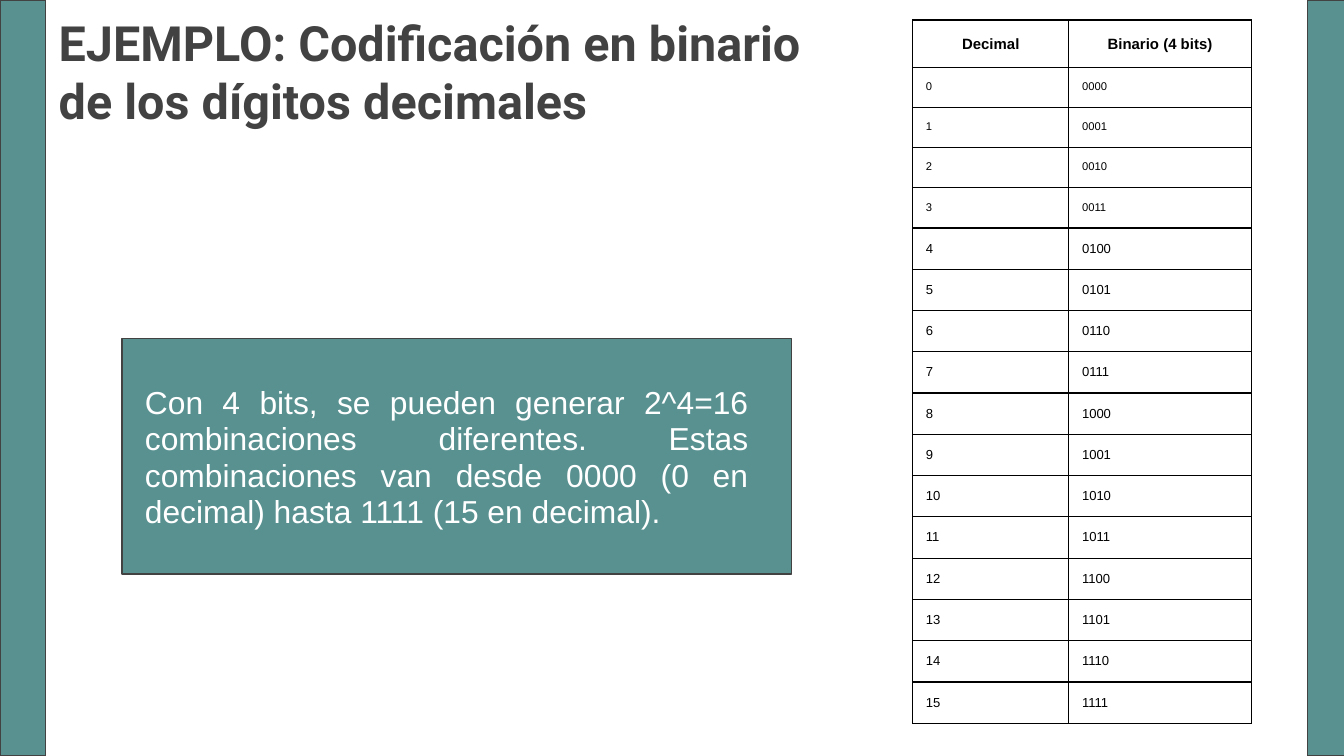
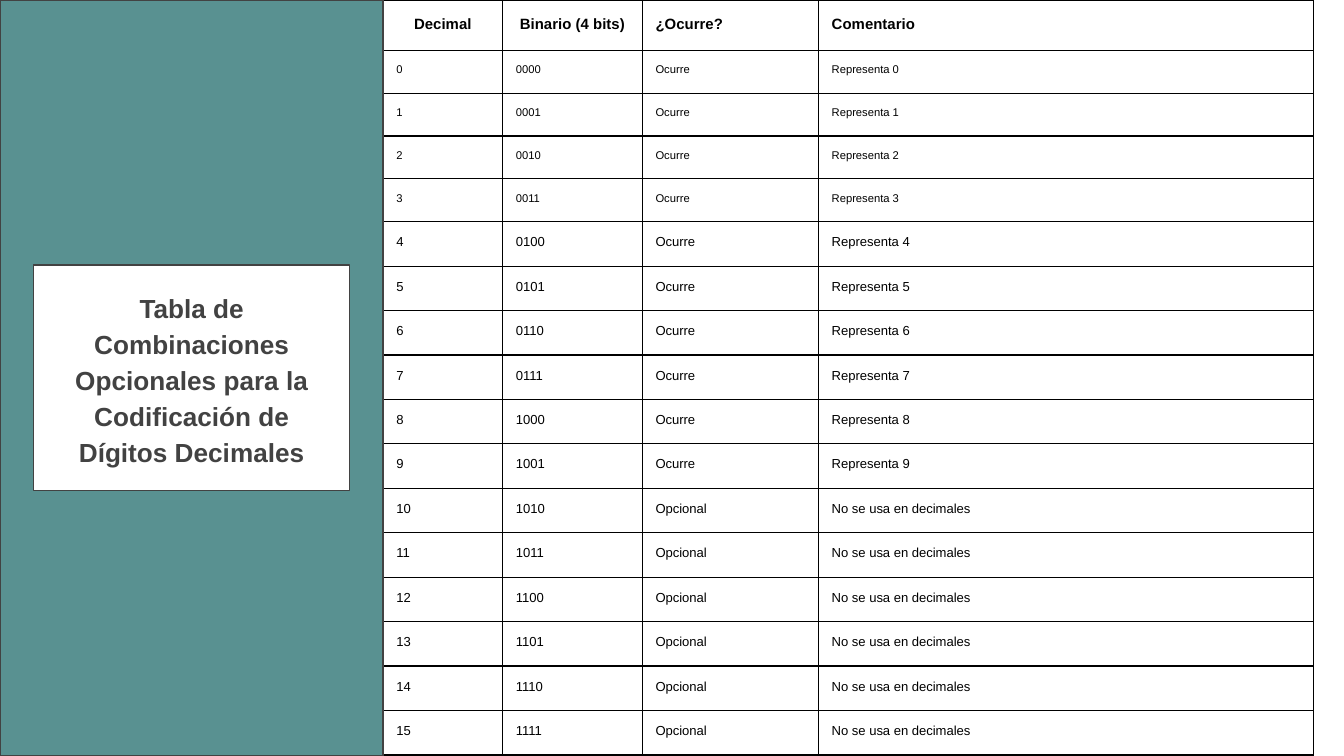
from dataclasses import dataclass

import lxml.etree
import pptx
import pptx.dml.color
import pptx.enum.shapes
import pptx.enum.text
import pptx.oxml.ns
import pptx.util

Cm = pptx.util.Cm
Pt = pptx.util.Pt
Align = pptx.enum.text.PP_ALIGN
Anchor = pptx.enum.text.MSO_ANCHOR
qn = pptx.oxml.ns.qn

COLORS = {"teal": "599191", "ink": "424242", "paper": "FFFFFF", "grid": "000000"}
PADDING = 0.25
LINE_WIDTH = 0.75
DIGITS = range(16)


@dataclass(frozen=True)
class Area:
    left: float
    top: float
    width: float
    height: float

    def lengths(self) -> tuple:
        return Cm(self.left), Cm(self.top), Cm(self.width), Cm(self.height)


@dataclass(frozen=True)
class TextStyle:
    size: float
    color: str
    font: str = "Arial"
    bold: bool = False
    align: Align = Align.LEFT
    spacing: float = 1.0
    after: float = 0


@dataclass(frozen=True)
class CodeColumn:
    heading: str
    width: float
    values: list[str]
    heading_align: Align = Align.LEFT


@dataclass(frozen=True)
class CodeTable:
    left: float
    top: float
    columns: list[CodeColumn]
    heading_height: float
    small_height: float
    regular_height: float


TITLE = TextStyle(26, "ink", font="Roboto", bold=True)
EXPLANATION = TextStyle(17, "paper", align=Align.JUSTIFY, spacing=0.95, after=12)
PANEL_TITLE = TextStyle(14, "ink", bold=True, align=Align.CENTER, spacing=1.15, after=12)


def rgb(color: str) -> pptx.dml.color.RGBColor:
    return pptx.dml.color.RGBColor.from_string(COLORS[color])


def write(frame, lines: list[str], style: TextStyle) -> None:
    for index, line in enumerate(lines):
        paragraph = frame.add_paragraph() if index else frame.paragraphs[0]
        paragraph.alignment = style.align
        paragraph.line_spacing = style.spacing
        paragraph.space_after = Pt(style.after)
        run = paragraph.add_run()
        run.text = line
        run.font.name = style.font
        run.font.size = Pt(style.size)
        run.font.bold = style.bold
        run.font.color.rgb = rgb(style.color)


def pad(target, top: float = PADDING, bottom: float = PADDING) -> None:
    target.margin_left = target.margin_right = Cm(PADDING)
    target.margin_top = Cm(top)
    target.margin_bottom = Cm(bottom)


def add_panel(slide, area: Area, fill: str):
    panel = slide.shapes.add_shape(
        pptx.enum.shapes.MSO_SHAPE.RECTANGLE, *area.lengths()
    )
    panel.shadow.inherit = False
    panel.fill.solid()
    panel.fill.fore_color.rgb = rgb(fill)
    panel.line.color.rgb = rgb("ink")
    panel.line.width = Pt(LINE_WIDTH)
    return panel


def add_text(slide, area: Area, lines: list[str], style: TextStyle):
    frame = slide.shapes.add_textbox(*area.lengths()).text_frame
    frame.word_wrap = True
    pad(frame)
    write(frame, lines, style)
    return frame


def outline_cell(cell) -> None:
    properties = cell._tc.get_or_add_tcPr()
    for position, side in enumerate(("lnL", "lnR", "lnT", "lnB")):
        border = lxml.etree.Element(qn(f"a:{side}"), w=str(Pt(LINE_WIDTH)))
        fill = lxml.etree.SubElement(border, qn("a:solidFill"))
        lxml.etree.SubElement(fill, qn("a:srgbClr"), val=COLORS["grid"])
        properties.insert(position, border)


def fill_cell(cell, text: str, style: TextStyle) -> None:
    pad(cell)
    cell.fill.solid()
    cell.fill.fore_color.rgb = rgb("paper")
    write(cell.text_frame, [text], style)
    outline_cell(cell)


def add_code_table(slide, codes: CodeTable) -> None:
    heights = [codes.heading_height] + [
        codes.small_height if digit < 4 else codes.regular_height for digit in DIGITS
    ]
    area = Area(
        codes.left, codes.top, sum(c.width for c in codes.columns), sum(heights)
    )
    table = slide.shapes.add_table(
        len(heights), len(codes.columns), *area.lengths()
    ).table
    table.first_row = table.horz_banding = False
    for row, height in zip(table.rows, heights):
        row.height = Cm(height)
    for index, column in enumerate(codes.columns):
        table.columns[index].width = Cm(column.width)
        heading = TextStyle(
            8, "grid", bold=True, align=column.heading_align, spacing=1.15
        )
        fill_cell(table.cell(0, index), column.heading, heading)
        for digit, value in zip(DIGITS, column.values):
            style = TextStyle(6 if digit < 4 else 7, "grid")
            fill_cell(table.cell(digit + 1, index), value, style)


def number_columns(decimal_width: float, binary_width: float) -> list[CodeColumn]:
    return [
        CodeColumn("Decimal", decimal_width, [str(d) for d in DIGITS], Align.CENTER),
        CodeColumn(
            "Binario (4 bits)", binary_width, [f"{d:04b}" for d in DIGITS], Align.CENTER
        ),
    ]


def build_example(slide) -> None:
    add_code_table(
        slide, CodeTable(17.25, 0.38, number_columns(2.95, 3.45), 0.89, 0.76, 0.78)
    )
    for band_left in (0, 24.71):
        add_panel(slide, Area(band_left, 0, 0.86, 14.29), "teal")
    add_panel(slide, Area(2.31, 6.4, 12.65, 4.45), "teal")
    explanation = add_text(
        slide,
        Area(2.49, 5.97, 11.91, 4.24),
        [
            "Con 4 bits, se pueden generar 2^4=16 combinaciones diferentes. "
            "Estas combinaciones van desde 0000 (0 en decimal) hasta 1111 "
            "(15 en decimal)."
        ],
        EXPLANATION,
    )
    explanation.vertical_anchor = Anchor.MIDDLE
    pad(explanation, top=1.27, bottom=0.13)
    add_text(
        slide,
        Area(0.86, 0, 24.54, 2.77),
        ["EJEMPLO: Codificación en binario", "de los dígitos decimales"],
        TITLE,
    )


def build_optional_codes(slide) -> None:
    occurrence = ["Ocurre" if d < 10 else "Opcional" for d in DIGITS]
    comments = [
        f"Representa {d}" if d < 10 else "No se usa en decimales" for d in DIGITS
    ]
    columns = number_columns(2.26, 2.64) + [
        CodeColumn("¿Ocurre?", 3.33, occurrence),
        CodeColumn("Comentario", 9.35, comments),
    ]
    add_code_table(slide, CodeTable(7.24, 0, columns, 0.95, 0.81, 0.84))
    add_panel(slide, Area(0, 0, 7.24, 14.29), "teal")
    frame = add_panel(slide, Area(0.64, 5.01, 5.97, 4.26), "paper").text_frame
    frame.word_wrap = True
    frame.vertical_anchor = Anchor.MIDDLE
    pad(frame)
    write(
        frame,
        [
            "Tabla de Combinaciones Opcionales para la Codificación de "
            "Dígitos Decimales"
        ],
        PANEL_TITLE,
    )


def main() -> None:
    deck = pptx.Presentation()
    deck.slide_width = Cm(25.4)
    deck.slide_height = Cm(14.29)
    for build in (build_example, build_optional_codes):
        slide = deck.slides.add_slide(deck.slide_layouts[6])
        slide.background.fill.solid()
        slide.background.fill.fore_color.rgb = rgb("paper")
        build(slide)
    deck.save("out.pptx")


if __name__ == "__main__":
    main()
